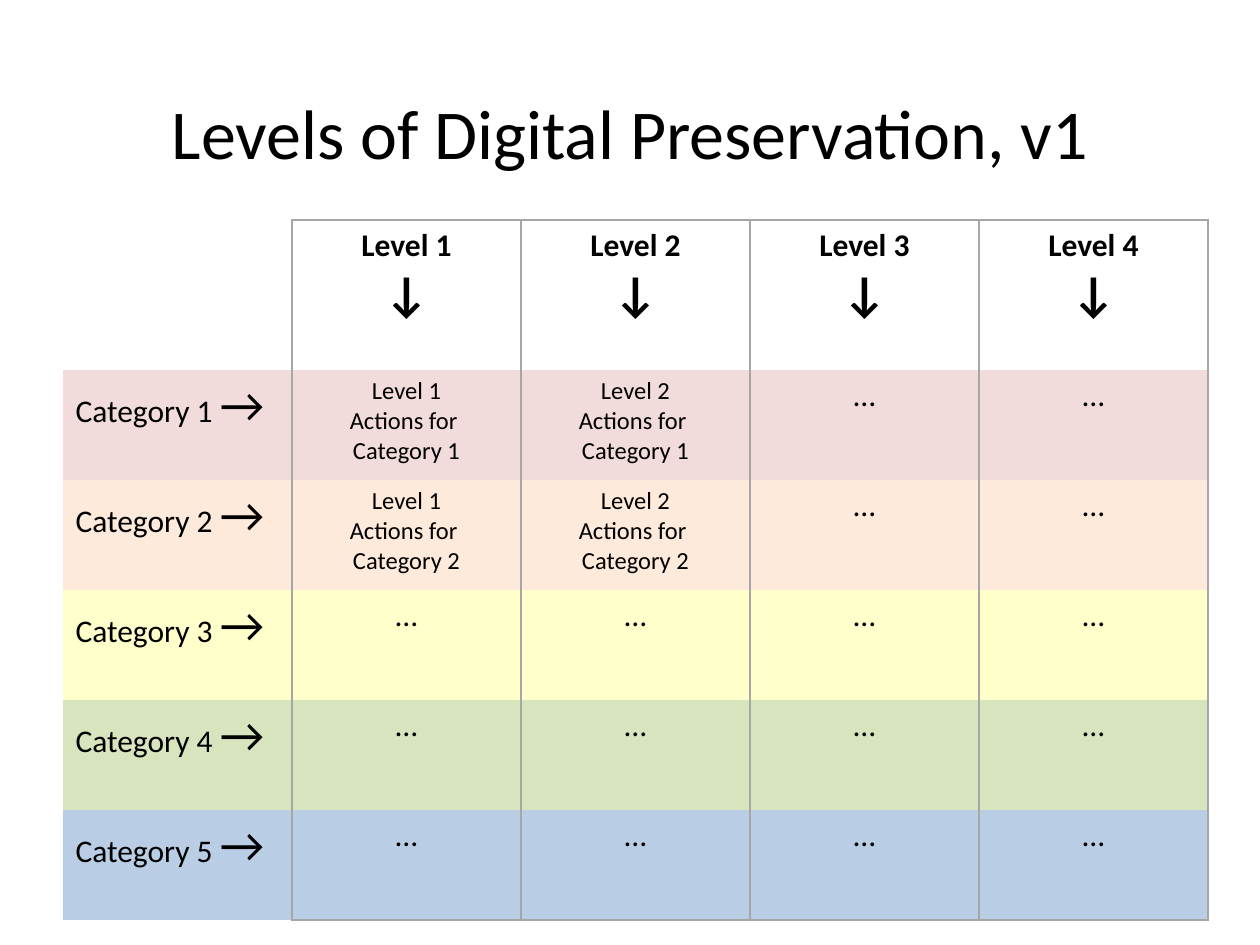
"""Build a slide with a grid of preservation levels by category."""
from lxml import etree
from pptx import Presentation
from pptx.dml.color import RGBColor
from pptx.enum.text import MSO_ANCHOR, PP_ALIGN
from pptx.oxml.ns import qn
from pptx.util import Emu, Pt

LEFT, CENTER = PP_ALIGN.LEFT, PP_ALIGN.CENTER
MIDDLE = MSO_ANCHOR.MIDDLE
FONT = "Calibri"
COLORS = {
    "text": "000000",
    "line": "A6A6A6",
    "rows": ["F2DCDB", "FDEADA", "FFFFCC", "D7E4BD", "B9CDE5"],
}
LEVELS = 4
DETAIL = 2
COL, HEAD, ROW = 229, 150, 110


def px(num):
    """Turn pixels into EMU."""
    return Emu(round(num * 914400 / 126))


def write(frame, lines, align=CENTER, bold=False):
    """Write lines, each a list of (text, size) runs, into a text frame."""
    for index, line in enumerate(lines):
        para = frame.paragraphs[0] if index == 0 else frame.add_paragraph()
        para.alignment = align
        for text, size in line:
            run = para.add_run()
            run.text = text
            font = run.font
            font.name, font.size, font.bold = FONT, Pt(size), bold
            font.color.rgb = RGBColor.from_string(COLORS["text"])


def edge(cell, drawn):
    """Draw the named sides of a cell and clear the others."""
    props = cell._tc.get_or_add_tcPr()
    for side in "LRTB":
        line = etree.SubElement(props, qn(f"a:ln{side}"), w=str(Pt(1.5)))
        if side in drawn:
            fill = etree.SubElement(line, qn("a:solidFill"))
            etree.SubElement(fill, qn("a:srgbClr"), val=COLORS["line"])
        else:
            etree.SubElement(line, qn("a:noFill"))


def style(cell, row, col):
    """Set the borders and fill of a cell from its place in the grid."""
    sides = "LR" if col else "R"
    if col and row == 0:
        sides += "T"
    if col and row == len(COLORS["rows"]):
        sides += "B"
    edge(cell, sides)
    if row:
        cell.fill.solid()
        cell.fill.fore_color.rgb = RGBColor.from_string(COLORS["rows"][row - 1])
    else:
        cell.fill.background()


def label(cell, row, col):
    """Write the text of a cell from its place in the grid."""
    frame = cell.text_frame
    if row == 0:
        if col:
            write(frame, [[(f"Level {col}", 18)], [("↓", 28)]], bold=True)
    elif col == 0:
        write(frame, [[(f"Category {row} ", 18), ("→", 28)]], align=LEFT)
    elif row <= DETAIL and col <= DETAIL:
        lines = [f"Level {col}", "Actions for ", f"Category {row}"]
        write(frame, [[(text, 14)] for text in lines])
    else:
        write(frame, [[("…", 18)]])


def add_title(slide, text):
    """Add the slide title."""
    frame = slide.shapes.add_textbox(px(63), px(53), px(1134), px(158)).text_frame
    frame.word_wrap = True
    frame.vertical_anchor = MIDDLE
    write(frame, [[(text, 40)]])


def add_grid(slide):
    """Add the table of levels and categories."""
    rows, cols = len(COLORS["rows"]) + 1, LEVELS + 1
    high = HEAD + ROW * (rows - 1)
    table = slide.shapes.add_table(
        rows, cols, px(63), px(220), px(COL * cols), px(high)
    ).table
    table.first_row = table.horz_banding = False
    for col in table.columns:
        col.width = px(COL)
    for row, line in enumerate(table.rows):
        line.height = px(ROW if row else HEAD)
        for col, cell in enumerate(line.cells):
            style(cell, row, col)
            label(cell, row, col)


def main():
    """Build and save the slide."""
    deck = Presentation()
    deck.slide_width, deck.slide_height = px(1260), px(945)
    slide = deck.slides.add_slide(deck.slide_layouts[6])
    add_title(slide, "Levels of Digital Preservation, v1")
    add_grid(slide)
    deck.save("out.pptx")


if __name__ == "__main__":
    main()
